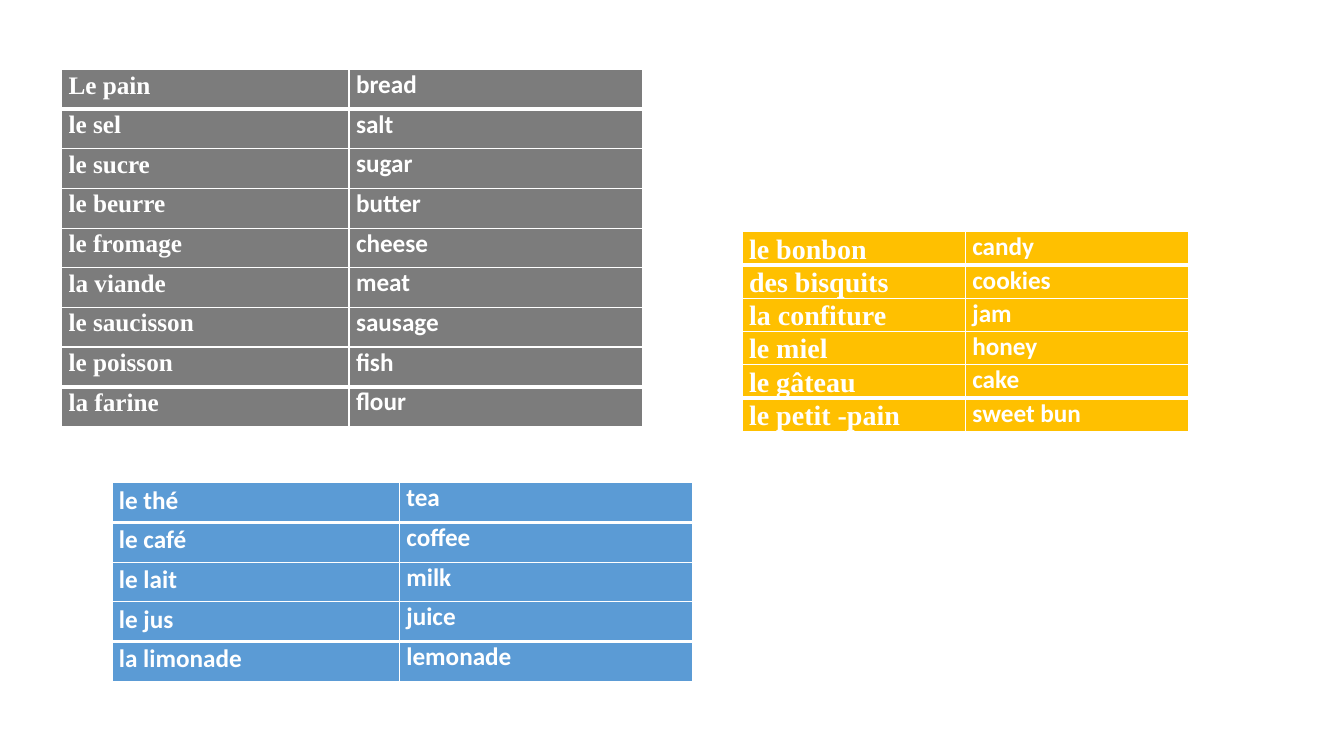
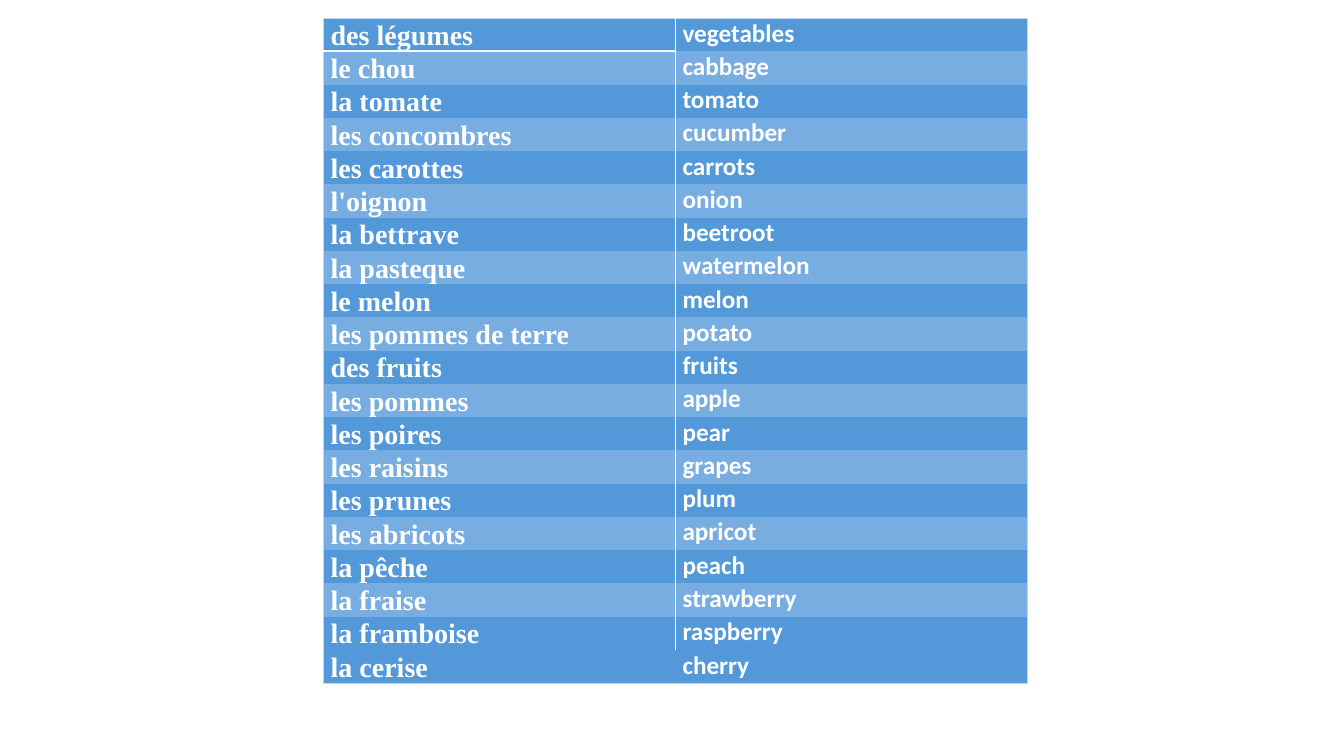
from lxml import etree
from pptx import Presentation
from pptx.dml.color import RGBColor
from pptx.oxml.ns import qn
from pptx.util import Inches, Pt

COLORS = {
    "white": "FFFFFF", "grey": "7C7C7C", "gold": "FFC000", "blue": "5B9BD5",
    "dark": "5399DA", "light": "78ADE1", "edge": "C4D5EB",
}
SERIF, SANS = "Times New Roman", "Calibri"
PLAIN = "{2D5ABB26-0587-4C30-8999-92F81FD0307C}"  # no style, no grid
WIDE, HIGH = Inches(13.33), Inches(7.5)

BASICS = [
    ("Le pain", "bread"), ("le sel", "salt"), ("le sucre", "sugar"),
    ("le beurre", "butter"), ("le fromage", "cheese"), ("la viande", "meat"),
    ("le saucisson", "sausage"), ("le poisson", "fish"), ("la farine", "flour"),
]
SWEETS = [
    ("le bonbon", "candy"), ("des bisquits", "cookies"), ("la confiture", "jam"),
    ("le miel", "honey"), ("le gâteau", "cake"), ("le petit -pain", "sweet bun"),
]
DRINKS = [
    ("le thé", "tea"), ("le café", "coffee"), ("le lait", "milk"),
    ("le jus", "juice"), ("la limonade", "lemonade"),
]
PLANTS = [
    ("des légumes", "vegetables"), ("le chou", "cabbage"), ("la tomate", "tomato"),
    ("les concombres", "cucumber"), ("les carottes", "carrots"),
    ("l'oignon", "onion"), ("la bettrave", "beetroot"),
    ("la pasteque", "watermelon"), ("le melon", "melon"),
    ("les pommes de terre", "potato"), ("des fruits", "fruits"),
    ("les pommes", "apple"), ("les poires", "pear"), ("les raisins", "grapes"),
    ("les prunes", "plum"), ("les abricots", "apricot"), ("la pêche", "peach"),
    ("la fraise", "strawberry"), ("la framboise", "raspberry"),
    ("la cerise", "cherry"),
]


def rgb(name):
    return RGBColor.from_string(COLORS[name])


def rule(cell, side, color, width):
    """Draw one cell border; side is L, R, T or B, in that order."""
    line = etree.SubElement(cell._tc.get_or_add_tcPr(), qn(f"a:ln{side}"),
                            w=str(Pt(width)))
    fill = etree.SubElement(line, qn("a:solidFill"))
    etree.SubElement(fill, qn("a:srgbClr"), val=COLORS[color])


def grid_lines(row, col, last):
    """White grid, heavy under the first row and above the last."""
    top = 3 if row in (1, last) else 1
    base = 3 if row in (0, last - 1) else 1
    return {"L": ("white", 1), "R": ("white", 1),
            "T": ("white", top), "B": ("white", base)}


def frame_lines(row, col, last):
    """Pale outline with a white line between the columns."""
    lines = {"LR"[col]: ("edge", 0.5)}
    if row < last:
        lines["RL"[col]] = ("white", 1)
    if row == 0:
        lines["T"] = ("edge", 0.5)
        if col == 0:
            lines["B"] = ("white", 1.5)
    if row == last:
        lines["B"] = ("edge", 0.5)
    return lines


def write(cell, text, font, size, spacing):
    cell.margin_left = cell.margin_right = Inches(0.07)
    cell.margin_top = cell.margin_bottom = 0
    cell.text = text
    para = cell.text_frame.paragraphs[0]
    para.line_spacing = spacing
    para.font.name, para.font.size = font, Pt(size)
    para.font.bold = True
    para.font.color.rgb = rgb("white")


def word_list(slide, box, words, fills, lines, font=SERIF, size=18, split=50):
    """Place a two-column list; box and split are in percent."""
    left, top, width, height = (
        round(part * full / 100)
        for part, full in zip(box, (WIDE, HIGH, WIDE, HIGH)))
    frame = slide.shapes.add_table(len(words), 2, left, top, width, height)
    table = frame.table
    table._tbl.tblPr.find(qn("a:tableStyleId")).text = PLAIN
    table.first_row = table.horz_banding = False
    table.columns[0].width = round(width * split / 100)
    table.columns[1].width = width - table.columns[0].width
    last = len(words) - 1
    styles = [(font, size, 1.07), (SANS, 18, 1.0)]
    for row, pair in enumerate(words):
        table.rows[row].height = height // len(words)
        fill = fills[0 if row == last else row % len(fills)]
        for col, text in enumerate(pair):
            cell = table.cell(row, col)
            write(cell, text, *styles[col])
            edges = lines(row, col, last)
            for side in "LRTB":
                if side in edges:
                    rule(cell, side, *edges[side])
            cell.fill.solid()
            cell.fill.fore_color.rgb = rgb(fill)


def food_slide(slide):
    word_list(slide, (4.58, 9.2, 43.21, 47.2), BASICS, ["grey"], grid_lines,
              split=49.5)
    word_list(slide, (55.21, 30.67, 33.23, 26.4), SWEETS, ["gold"], grid_lines,
              size=20)
    word_list(slide, (8.33, 63.87, 43.21, 26.27), DRINKS, ["blue"], grid_lines,
              font=SANS, split=49.5)


def plant_slide(slide):
    word_list(slide, (24.08, 2.4, 52.36, 88), PLANTS, ["dark", "light"],
              frame_lines, size=20)


def main():
    deck = Presentation()
    deck.slide_width, deck.slide_height = WIDE, HIGH
    blank = deck.slide_layouts[6]
    for build in (food_slide, plant_slide):
        build(deck.slides.add_slide(blank))
    deck.save("out.pptx")


if __name__ == "__main__":
    main()
